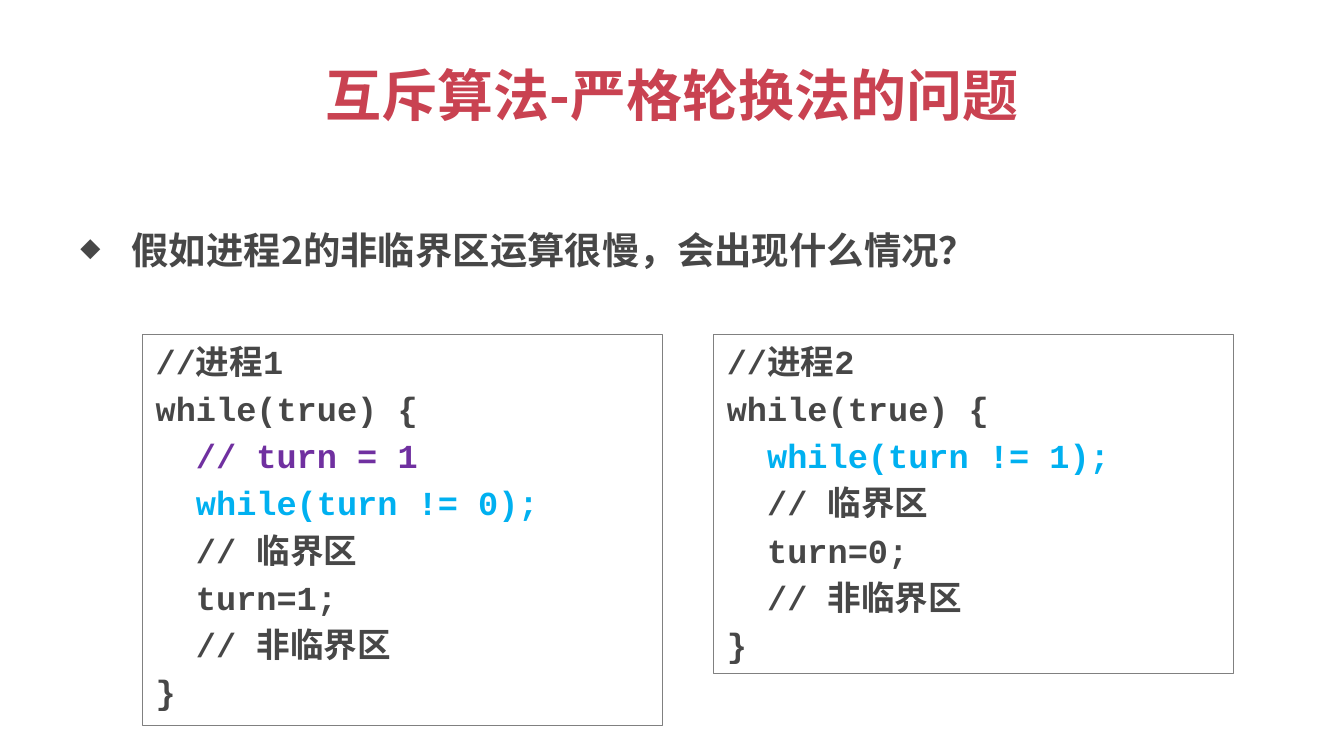
from lxml import etree
from pptx import Presentation
from pptx import util as u
from pptx.dml import color
from pptx.enum import shapes, text
from pptx.oxml import ns

COLORS = {"title": "C94251", "body": "474747", "border": "808080",
          "note": "7030A0", "wait": "00B0F0"}
SANS, MONO = "Noto Sans CJK SC", "Courier New"


class Deck:
    def __init__(self, width, height):
        self.prs = Presentation()
        self.prs.slide_width = u.Inches(width)
        self.prs.slide_height = u.Inches(height)
        self.slide = self.prs.slides.add_slide(self.prs.slide_layouts[5])

    def rgb(self, name):
        return color.RGBColor.from_string(COLORS[name])

    def run(self, paragraph, words, size, font, tone="body"):
        run = paragraph.add_run()
        run.text = words
        run.font.size = u.Pt(size)
        run.font.name = font
        run.font.bold = True
        run.font.color.rgb = self.rgb(tone)

    def indent(self, paragraph, left, first=0):
        props = paragraph._p.get_or_add_pPr()
        props.set("marL", str(u.Inches(left)))
        props.set("indent", str(u.Inches(first)))
        return props

    def title(self, words, left, top, width, height):
        heading = self.slide.shapes.title
        heading.left, heading.top = u.Inches(left), u.Inches(top)
        heading.width, heading.height = u.Inches(width), u.Inches(height)
        heading.text_frame.vertical_anchor = text.MSO_ANCHOR.MIDDLE
        paragraph = heading.text_frame.paragraphs[0]
        paragraph.alignment = text.PP_ALIGN.CENTER
        self.run(paragraph, words, 30, SANS, "title")

    def bullet(self, words, left, top, width, height):
        box = self.slide.shapes.add_textbox(*map(u.Inches, (left, top, width, height)))
        box.text_frame.word_wrap = True
        paragraph = box.text_frame.paragraphs[0]
        paragraph.line_spacing = 2.0
        paragraph.space_before = u.Pt(4)
        props = self.indent(paragraph, 0.38, -0.38)
        etree.SubElement(props, ns.qn("a:buSzPct")).set("val", "70000")
        etree.SubElement(props, ns.qn("a:buChar")).set("char", "◆")
        self.run(paragraph, words, 20, SANS)

    def code(self, lines, left, top, width, height):
        panel = self.slide.shapes.add_shape(
            shapes.MSO_SHAPE.RECTANGLE, *map(u.Inches, (left, top, width, height)))
        panel.shadow.inherit = False
        panel.fill.background()
        panel.line.color.rgb = self.rgb("border")
        panel.line.width = u.Pt(0.75)
        frame = panel.text_frame
        frame.word_wrap = True
        frame.vertical_anchor = text.MSO_ANCHOR.TOP
        for number, (level, words, tone) in enumerate(lines):
            paragraph = frame.add_paragraph() if number else frame.paragraphs[0]
            paragraph.alignment = text.PP_ALIGN.LEFT
            paragraph.space_before = u.Pt(3.6)
            self.indent(paragraph, 0.3 * level)
            self.run(paragraph, words, 18, MONO, tone)


def process(number, awaited, following, note=None):
    return [
        (0, f"//进程{number}", "body"),
        (0, "while(true) {", "body"),
        *([(1, note, "note")] if note else []),
        (1, f"while(turn != {awaited});", "wait"),
        (1, "// 临界区", "body"),
        (1, f"turn={following};", "body"),
        (1, "// 非临界区", "body"),
        (0, "}", "body"),
    ]


deck = Deck(10, 5.625)
deck.title("互斥算法-严格轮换法的问题", 0.5, 0.23, 9, 0.94)
deck.code(process(1, 0, 1, "// turn = 1"), 1.06, 2.49, 3.87, 2.91)
deck.code(process(2, 1, 0), 5.31, 2.49, 3.87, 2.52)
deck.bullet("假如进程2的非临界区运算很慢，会出现什么情况？", 0.5, 1.31, 9, 0.71)
deck.prs.save("out.pptx")
